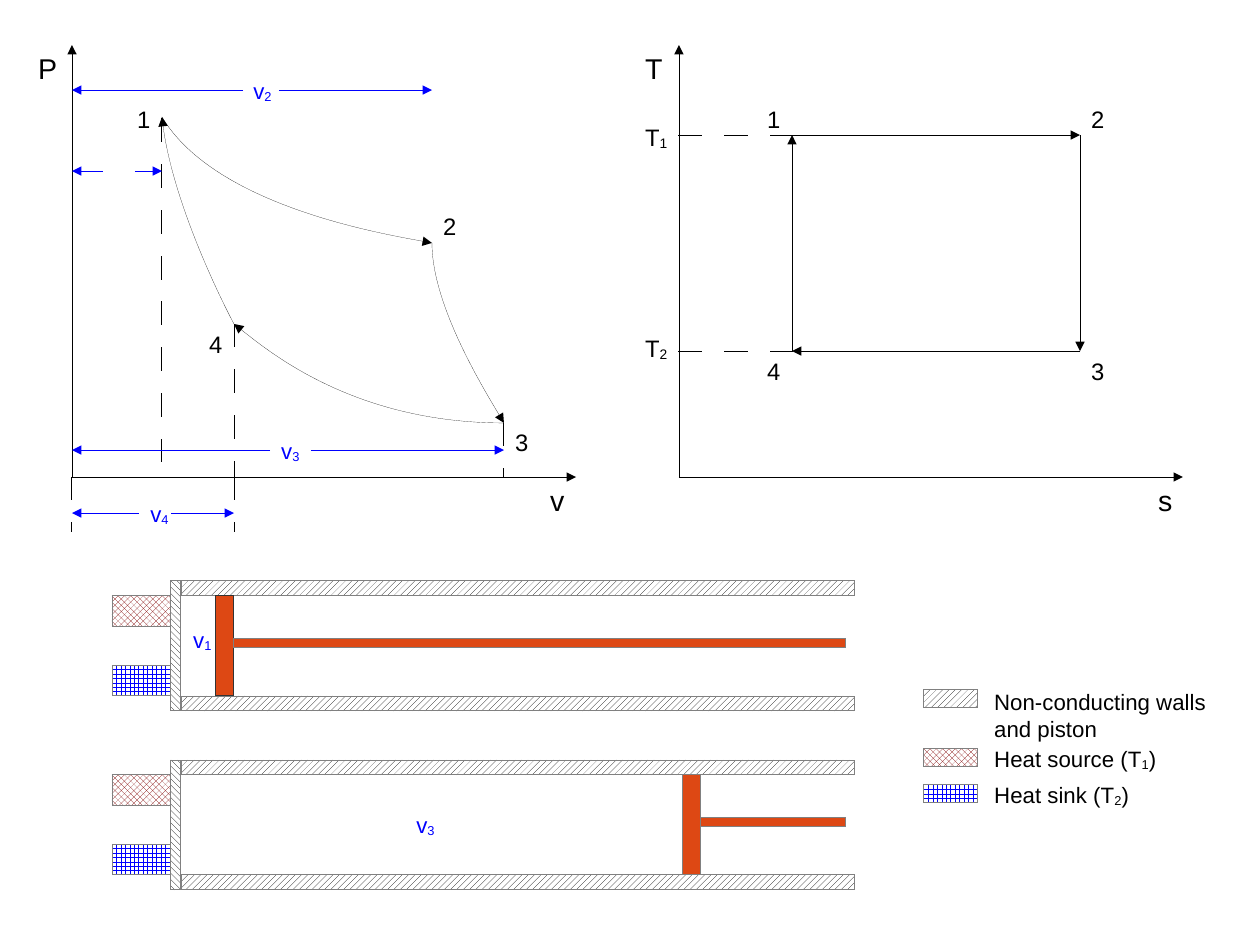
from dataclasses import dataclass
from itertools import product

from lxml.etree import SubElement
from pptx import Presentation
from pptx.dml.color import RGBColor as Rgb
from pptx.enum.dml import MSO_PATTERN as Pat
from pptx.enum.shapes import MSO_CONNECTOR as Conn, MSO_SHAPE as Form
from pptx.enum.text import MSO_AUTO_SIZE as Fit
from pptx.oxml.ns import qn
from pptx.util import Emu, Pt

PX = 8000
Point = tuple[int, int]


@dataclass(frozen=True)
class Theme:
    font: str = "Arial"
    black: str = "000000"
    white: str = "FFFFFF"
    blue: str = "0000FF"
    maroon: str = "800000"
    orange: str = "DD4814"
    gray: str = "808080"
    dark: str = "333333"
    axis: int = 18
    state: int = 15
    note: int = 14


THEME = Theme()


@dataclass(frozen=True)
class Hatch:
    kind: Pat
    ink: str


WALL = Hatch(Pat.WIDE_UPWARD_DIAGONAL, THEME.black)
CAP = Hatch(Pat.WIDE_DOWNWARD_DIAGONAL, THEME.black)
SOURCE = Hatch(Pat.OUTLINED_DIAMOND, THEME.maroon)
SINK = Hatch(Pat.LARGE_GRID, THEME.blue)


@dataclass(frozen=True)
class Label:
    text: str
    x: int
    y: int
    w: int = 35
    h: int = 38
    size: int = THEME.state
    ink: str = THEME.black


@dataclass(frozen=True)
class Line:
    start: Point
    end: Point
    ink: str = THEME.black
    arrow: bool = True
    dash: bool = False


@dataclass(frozen=True)
class Curve:
    start: Point
    bend: Point
    end: Point
    tip: str = "tailEnd"


@dataclass(frozen=True)
class Block:
    x: int
    y: int
    w: int
    h: int
    fill: Hatch | str
    edge: str = THEME.gray


@dataclass(frozen=True)
class Engine:
    top: int
    piston: int
    edge: str


def volume(num: int, x: int, y: int) -> Label:
    return Label(f"v~{num}", x, y, 41, 43, THEME.note, THEME.blue)


def axis(text: str, x: int, y: int) -> Label:
    return Label(text, x, y, 38, 43, THEME.axis)


def level(num: int, y: int) -> Label:
    return Label(f"T~{num}", 634, y, 45, 46)


def legend(text: str, y: int, w: int, h: int = 45) -> Label:
    return Label(text, 983, y, w, h, THEME.note)


def stroke(shape, ink: str, tip: str = "", dash: bool = False) -> None:
    shape.line.color.rgb = Rgb.from_string(ink)
    ln = shape.get_or_add_ln()
    ln.set("w", "0")
    if dash:
        gaps = SubElement(ln, qn("a:custDash"))
        SubElement(gaps, qn("a:ds"), d="1885000", sp="1885000")
    if tip:
        SubElement(ln, qn(f"a:{tip}"), type="triangle")


def draw_line(shapes, line: Line) -> None:
    ends = [Emu(n * PX) for n in line.start + line.end]
    shape = shapes.add_connector(Conn.STRAIGHT, *ends)
    stroke(shape, line.ink, "tailEnd" if line.arrow else "", line.dash)
    SubElement(shape._element.spPr, qn("a:effectLst"))


def draw_curve(shapes, curve: Curve) -> None:
    pen = shapes.build_freeform(*curve.start, scale=PX)
    pen.add_line_segments([curve.end], close=False)
    shape = pen.convert_to_shape()
    left, top = (min(pair) for pair in zip(curve.start, curve.end))
    arc = shape._element.find(".//" + qn("a:lnTo"))
    arc.tag = qn("a:cubicBezTo")
    arc.clear()
    for x, y in (curve.bend, curve.end, curve.end):
        SubElement(arc, qn("a:pt"), x=str(x - left), y=str(y - top))
    shape.fill.background()
    shape.shadow.inherit = False
    stroke(shape, THEME.black, curve.tip)


def draw_block(shapes, block: Block) -> None:
    box = [Emu(n * PX) for n in (block.x, block.y, block.w, block.h)]
    shape = shapes.add_shape(Form.RECTANGLE, *box)
    shape.shadow.inherit = False
    if isinstance(block.fill, Hatch):
        shape.fill.patterned()
        shape.fill.pattern = block.fill.kind
        shape.fill.fore_color.rgb = Rgb.from_string(block.fill.ink)
        shape.fill.back_color.rgb = Rgb.from_string(THEME.white)
    else:
        shape.fill.solid()
        shape.fill.fore_color.rgb = Rgb.from_string(block.fill)
    stroke(shape, block.edge)


def draw_label(shapes, label: Label) -> None:
    box = [Emu(n * PX) for n in (label.x, label.y, label.w, label.h)]
    frame = shapes.add_textbox(*box).text_frame
    frame.word_wrap = False
    frame.auto_size = Fit.SHAPE_TO_FIT_TEXT
    for row, text in enumerate(label.text.split("\n")):
        para = frame.add_paragraph() if row else frame.paragraphs[0]
        for part, piece in enumerate(text.split("~")):
            run = para.add_run()
            run.text = piece
            run.font.name = THEME.font
            run.font.size = Pt(label.size)
            run.font.color.rgb = Rgb.from_string(label.ink)
            if part % 2:
                run.font._element.set("baseline", "-8000")


def draw_engine(shapes, engine: Engine) -> None:
    top, rod = engine.top, engine.piston + 18
    for block in (
        Block(182, top, 673, 15, WALL),
        Block(182, top + 115, 673, 15, WALL),
        Block(171, top, 10, 130, CAP),
        Block(112, top + 15, 59, 31, SOURCE),
        Block(112, top + 84, 59, 31, SINK),
        Block(engine.piston, top + 15, 18, 100, THEME.orange, engine.edge),
        Block(rod, top + 58, 846 - rod, 9, THEME.orange),
    ):
        draw_block(shapes, block)


ONE, TWO, THREE, FOUR = (162, 117), (432, 243), (504, 423), (234, 324)
CURVES = [
    Curve(ONE, (216, 207), TWO),
    Curve(ONE, (171, 207), FOUR, "headEnd"),
    Curve(TWO, (432, 306), THREE),
    Curve(THREE, (351, 423), FOUR),
]
BASE, HOT, COLD, WEST, EAST = 477, 135, 351, 792, 1080
AXES = [Line((x, BASE), end) for x, reach in ((72, 576), (679, 1183))
        for end in ((x, 45), (reach, BASE))]
CYCLE = [
    Line((WEST, HOT), (EAST, HOT)),
    Line((EAST, HOT), (EAST, COLD)),
    Line((EAST, COLD), (WEST, COLD)),
    Line((WEST, COLD), (WEST, HOT)),
]
GUIDES = [Line(start, end, arrow=False, dash=True) for start, end in (
    ((679, COLD), (WEST, COLD)),
    ((679, HOT), (WEST, HOT)),
    ((162, 119), (162, BASE)),
    (THREE, (504, BASE)),
    (FOUR, (234, BASE)),
    ((72, BASE), (72, 531)),
    ((234, BASE), (234, 531)),
)]
SPANS = [Line((mid, y), (tip, y), THEME.blue)
         for y, left, right, end in ((90, 243, 279, 432), (171, 103, 135, 162),
                                     (450, 270, 311, 504), (513, 139, 171, 234))
         for mid, tip in ((left, 72), (right, end))]
LABELS = [
    axis("P", 27, 45), axis("v", 539, BASE),
    axis("T", 634, 45), axis("s", 1147, BASE),
    *(Label(text, x, y) for text, (y, x) in zip(
        "1243", product((99, COLD), (756, EAST)))),
    Label("1", 126, 99), Label("2", 432, 206),
    Label("4", 198, 324), Label("3", 504, 422),
    level(1, 117), level(2, 328),
    volume(4, 139, 495), volume(1, 182, 621), volume(2, 242, 72),
    volume(3, 270, 432), volume(3, 405, 806),
    legend("Non-conducting walls\nand piston", 683, 241, 62),
    legend("Heat source (T~1~)", 740, 185),
    legend("Heat sink (T~2~)", 776, 165),
]
KEYS = [Block(924, y, 54, 18, fill)
        for y, fill in ((690, WALL), (749, SOURCE), (785, SINK))]
ENGINES = [Engine(581, 216, THEME.dark), Engine(760, 683, THEME.gray)]


def main() -> None:
    deck = Presentation()
    deck.slide_width, deck.slide_height = Emu(1260 * PX), Emu(945 * PX)
    shapes = deck.slides.add_slide(deck.slide_layouts[6]).shapes
    for line in AXES + CYCLE + GUIDES + SPANS:
        draw_line(shapes, line)
    for curve in CURVES:
        draw_curve(shapes, curve)
    for engine in ENGINES:
        draw_engine(shapes, engine)
    for key in KEYS:
        draw_block(shapes, key)
    for label in LABELS:
        draw_label(shapes, label)
    deck.save("out.pptx")


if __name__ == "__main__":
    main()
